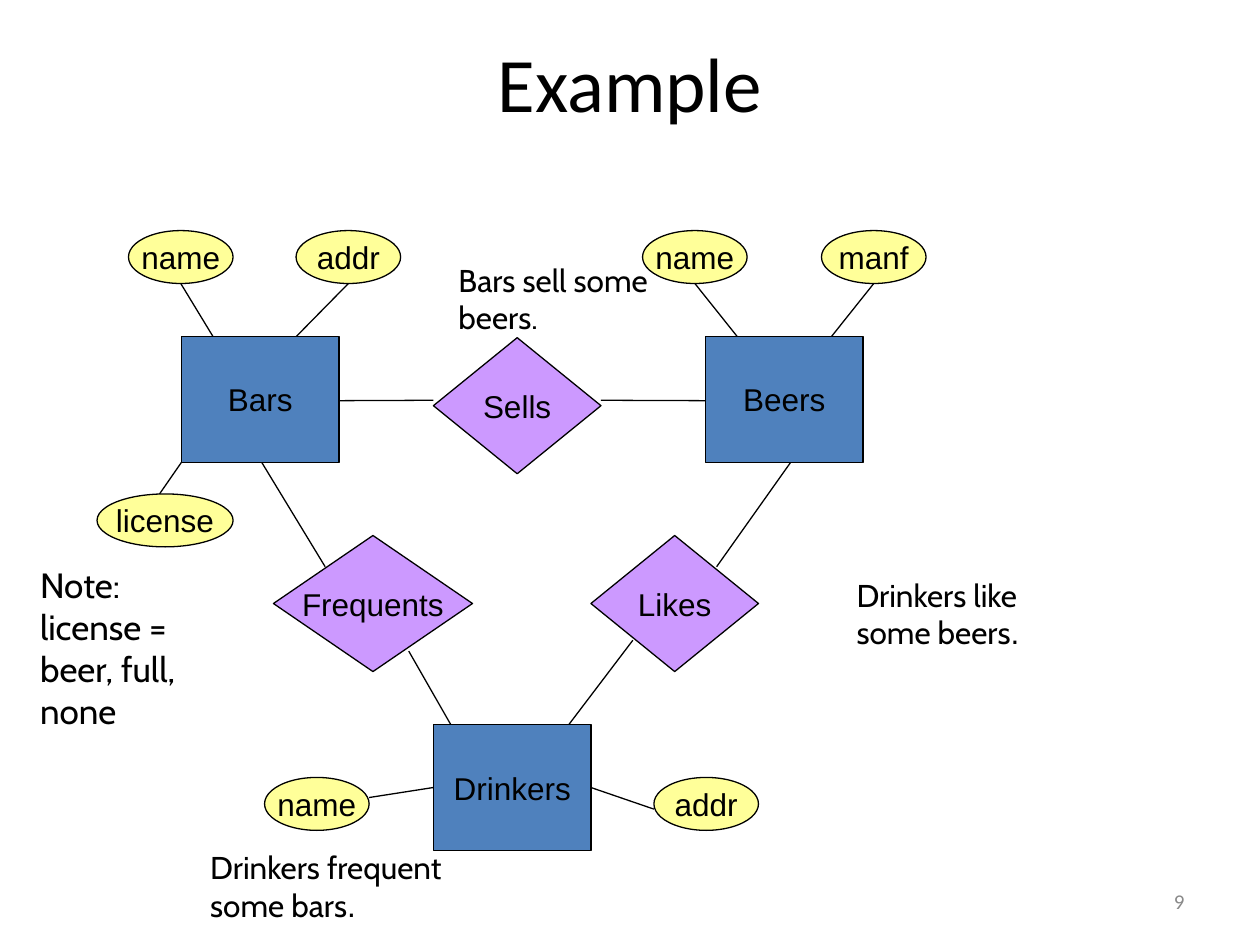
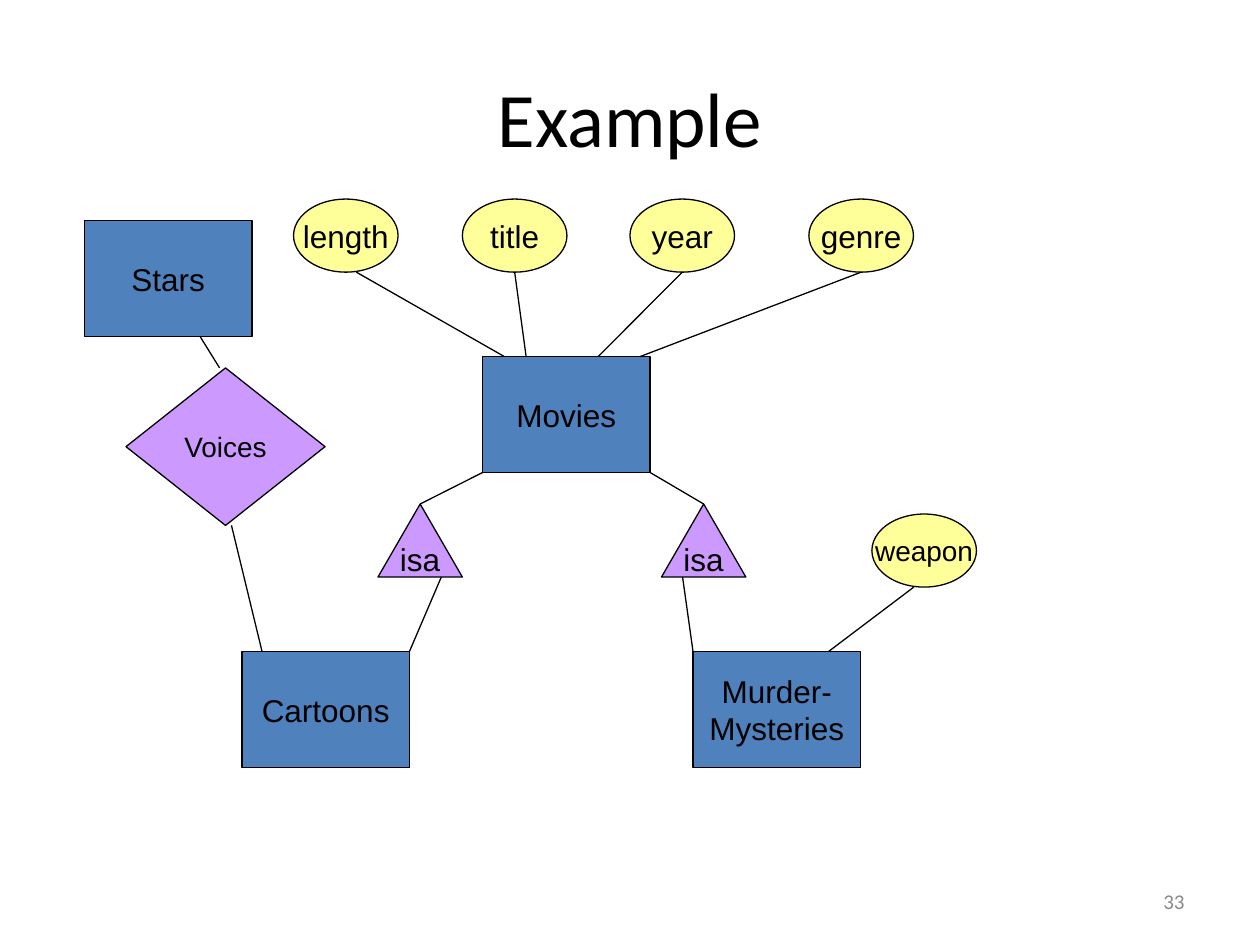
"""Build two entity-relationship example slides."""
from dataclasses import dataclass

from lxml import etree
from pptx import Presentation
from pptx.dml.color import RGBColor
from pptx.enum.shapes import MSO_CONNECTOR, MSO_SHAPE
from pptx.enum.text import MSO_ANCHOR, MSO_AUTO_SIZE, PP_ALIGN
from pptx.oxml.ns import qn
from pptx.util import Inches, Pt

RECTANGLE = MSO_SHAPE.RECTANGLE
ELLIPSE = MSO_SHAPE.OVAL
DIAMOND = MSO_SHAPE.DIAMOND
TRIANGLE = MSO_SHAPE.ISOSCELES_TRIANGLE
STRAIGHT = MSO_CONNECTOR.STRAIGHT
MIDDLE = MSO_ANCHOR.MIDDLE
FIT_TEXT = MSO_AUTO_SIZE.SHAPE_TO_FIT_TEXT
LEFT, CENTER, RIGHT = PP_ALIGN.LEFT, PP_ALIGN.CENTER, PP_ALIGN.RIGHT


@dataclass(frozen=True)
class Theme:
    """Colours, fonts and sizes shared by the slides."""
    ink: str = "000000"
    muted: str = "898989"
    entity: str = "4F81BD"
    attribute: str = "FFFF99"
    relation: str = "CC99FF"
    title_font: str = "Calibri"
    diagram_font: str = "Arial"
    caption_font: str = "Cabin"
    title_size: int = 44
    note_size: int = 20
    label_size: int = 18
    small_size: int = 16
    number_size: int = 12
    line_width: float = 0.75


THEME = Theme()


@dataclass(frozen=True)
class Box:
    """A rectangle in inches."""
    left: float
    top: float
    width: float
    height: float

    def inches(self):
        """Return the four lengths for python-pptx."""
        return [Inches(length) for length in (self.left, self.top, self.width, self.height)]

    def point(self, across, down):
        """Return the point at the given fractions of the box."""
        return Inches(self.left + across * self.width), Inches(self.top + down * self.height)

    def offset(self, right, down, width, height):
        """Return a box measured from this one's top left corner."""
        return Box(self.left + right, self.top + down, width, height)


PAGE = Box(0, 0, 10, 7.5)


def format_span(span, font, size, color):
    """Set the font of one run."""
    span.font.name = font
    span.font.size = Pt(size)
    span.font.color.rgb = RGBColor.from_string(color)


def write(frame, text, font, size, color=THEME.ink, align=LEFT):
    """Fill a text frame with evenly formatted paragraphs."""
    frame.text = text
    for para in frame.paragraphs:
        para.alignment = align
        for span in para.runs:
            format_span(span, font, size, color)


def add_line_of_text(page, box, text, size, color, align):
    """Add a wrapped, vertically centred text box in the title font."""
    frame = page.shapes.add_textbox(*box.inches()).text_frame
    frame.word_wrap = True
    frame.vertical_anchor = MIDDLE
    write(frame, text, THEME.title_font, size, color, align)


def add_page(deck, title, title_height, number):
    """Add a blank slide with its title and page number."""
    page = deck.slides.add_slide(deck.slide_layouts[6])
    add_line_of_text(page, PAGE.offset(0.5, 0.3, 9, title_height), title,
                     THEME.title_size, THEME.ink, CENTER)
    add_line_of_text(page, PAGE.offset(7.17, 6.95, 2.33, 0.4), str(number),
                     THEME.number_size, THEME.muted, RIGHT)
    return page


def add_node(page, box, kind, label, fill, size=THEME.label_size):
    """Add one labelled shape of the diagram."""
    node = page.shapes.add_shape(kind, *box.inches())
    node.shadow.inherit = False
    node.fill.solid()
    node.fill.fore_color.rgb = RGBColor.from_string(fill)
    node.line.color.rgb = RGBColor.from_string(THEME.ink)
    node.line.width = Pt(THEME.line_width)
    node.text_frame.word_wrap = False
    node.text_frame.vertical_anchor = MIDDLE
    write(node.text_frame, label, THEME.diagram_font, size, align=CENTER)


def add_link(page, start, end):
    """Join two points with a thin line."""
    link = page.shapes.add_connector(STRAIGHT, *start, *end)
    link.line.color.rgb = RGBColor.from_string(THEME.ink)
    link.line.width = Pt(THEME.line_width)
    etree.SubElement(link._element.spPr, qn("a:effectLst"))


def add_entity(page, box, label, attributes=(), attribute_height=0.42):
    """Add an entity and its attributes, each placed from the entity's corner."""
    add_node(page, box, RECTANGLE, label, THEME.entity)
    for name, right, down, width, size, start, end in attributes:
        oval = box.offset(right, down, width, attribute_height)
        add_node(page, oval, ELLIPSE, name, THEME.attribute, size)
        add_link(page, oval.point(*start), box.point(*end))


def add_relation(page, box, kind, label, ends, size=THEME.label_size):
    """Add a relationship and its links to entity boxes."""
    add_node(page, box, kind, label, THEME.relation, size)
    for start, entity, end in ends:
        add_link(page, box.point(*start), entity.point(*end))


def add_caption(page, box, text, size=THEME.label_size, stop=""):
    """Add an unwrapped caption, with a closing mark in the diagram font."""
    frame = page.shapes.add_textbox(*box.inches()).text_frame
    frame.word_wrap = False
    frame.auto_size = FIT_TEXT
    write(frame, text, THEME.caption_font, size)
    if stop:
        span = frame.paragraphs[-1].add_run()
        span.text = stop
        format_span(span, THEME.diagram_font, size, THEME.ink)


def build_bars(deck):
    """Build the bars, beers and drinkers diagram."""
    page = add_page(deck, "Example", 0.7, 9)
    label, oval = THEME.label_size, 0.83
    bars = PAGE.offset(1.44, 2.67, 1.25, 1)
    beers = PAGE.offset(5.6, 2.67, 1.25, 1)
    drinkers = PAGE.offset(3.44, 5.75, 1.25, 1)

    add_entity(page, drinkers, "Drinkers", [
        ("addr", 1.75, 0.42, oval, label, (0, 0.6), (1, 0.5)),
        ("name", -1.34, 0.42, oval, label, (1, 0.38), (0, 0.5)),
    ])
    add_entity(page, beers, "Beers", [
        ("manf", 0.92, -0.84, oval, label, (0.5, 1), (0.8, 0)),
        ("name", -0.5, -0.84, oval, label, (0.5, 1), (0.2, 0)),
    ])
    add_entity(page, bars, "Bars", [
        ("name", -0.42, -0.84, oval, label, (0.5, 1), (0.2, 0)),
        ("license", -0.67, 1.25, 1.08, label, (0.46, 0), (0, 1)),
        ("addr", 0.91, -0.84, oval, label, (0.5, 1), (0.73, 0)),
    ])
    add_relation(page, PAGE.offset(3.44, 2.68, 1.33, 1.08), DIAMOND, "Sells", [
        ((0, 0.46), bars, (1, 0.51)),
        ((1, 0.46), beers, (0, 0.51)),
    ])
    add_relation(page, PAGE.offset(4.69, 4.25, 1.33, 1.08), DIAMOND, "Likes", [
        ((0.25, 0.77), drinkers, (0.86, 0)),
        ((0.75, 0.23), beers, (0.54, 1)),
    ])
    add_relation(page, PAGE.offset(2.17, 4.25, 1.58, 1.08), DIAMOND, "Frequents", [
        ((0.26, 0.23), bars, (0.51, 1)),
        ((0.68, 0.85), drinkers, (0.11, 0)),
    ])
    add_caption(page, PAGE.offset(0.22, 4.42, 1.43, 1.44),
                "Note:\nlicense =\nbeer, full,\nnone", THEME.note_size)
    add_caption(page, PAGE.offset(3.54, 2.02, 1.89, 0.7), "Bars sell some\nbeers.")
    add_caption(page, PAGE.offset(6.7, 4.52, 1.67, 0.7), "Drinkers like\nsome beers", stop=".")
    add_caption(page, PAGE.offset(1.57, 6.68, 2.29, 0.7), "Drinkers frequent\nsome bars", stop=".")


def build_movies(deck):
    """Build the movies diagram with its subclasses."""
    page = add_page(deck, "Example", 1.25, 33)
    label, oval, oval_height = THEME.label_size, 0.83, 0.58
    entity_size = (1.33, 0.92)
    movies = PAGE.offset(3.83, 2.83, *entity_size)
    cartoons = PAGE.offset(1.92, 5.17, *entity_size)
    mysteries = PAGE.offset(5.5, 5.17, *entity_size)
    stars = PAGE.offset(0.67, 1.75, *entity_size)

    add_entity(page, movies, "Movies", [
        (name, right, -1.25, oval, label, (start, 1), (end, 0))
        for name, right, start, end in (
            ("length", -1.5, 0.6, 0.13), ("title", -0.16, 0.5, 0.26),
            ("year", 1.17, 0.5, 0.69), ("genre", 2.59, 0.5, 0.94))
    ], oval_height)
    add_entity(page, cartoons, "Cartoons")
    add_entity(page, mysteries, "Murder-\nMysteries", [
        ("weapon", 1.42, -1.09, oval, THEME.small_size, (0.4, 1), (0.81, 0)),
    ], oval_height)
    add_entity(page, stars, "Stars")
    for left, side, foot, subclass in ((3, 0, 0.75, cartoons), (5.25, 1, 0.25, mysteries)):
        add_relation(page, PAGE.offset(left, 4, 0.67, 0.58), TRIANGLE, "isa", [
            ((0.5, 0), movies, (side, 1)),
            ((foot, 1), subclass, (1 - side, 0)),
        ])
    add_relation(page, PAGE.offset(1, 2.92, 1.58, 1.25), DIAMOND, "Voices", [
        ((0.47, 0), stars, (0.69, 1)),
        ((0.53, 1), cartoons, (0.12, 0)),
    ], THEME.small_size)


def main():
    """Build and save the deck."""
    deck = Presentation()
    deck.slide_width = Inches(PAGE.width)
    deck.slide_height = Inches(PAGE.height)
    build_bars(deck)
    build_movies(deck)
    deck.save("out.pptx")


if __name__ == "__main__":
    main()
